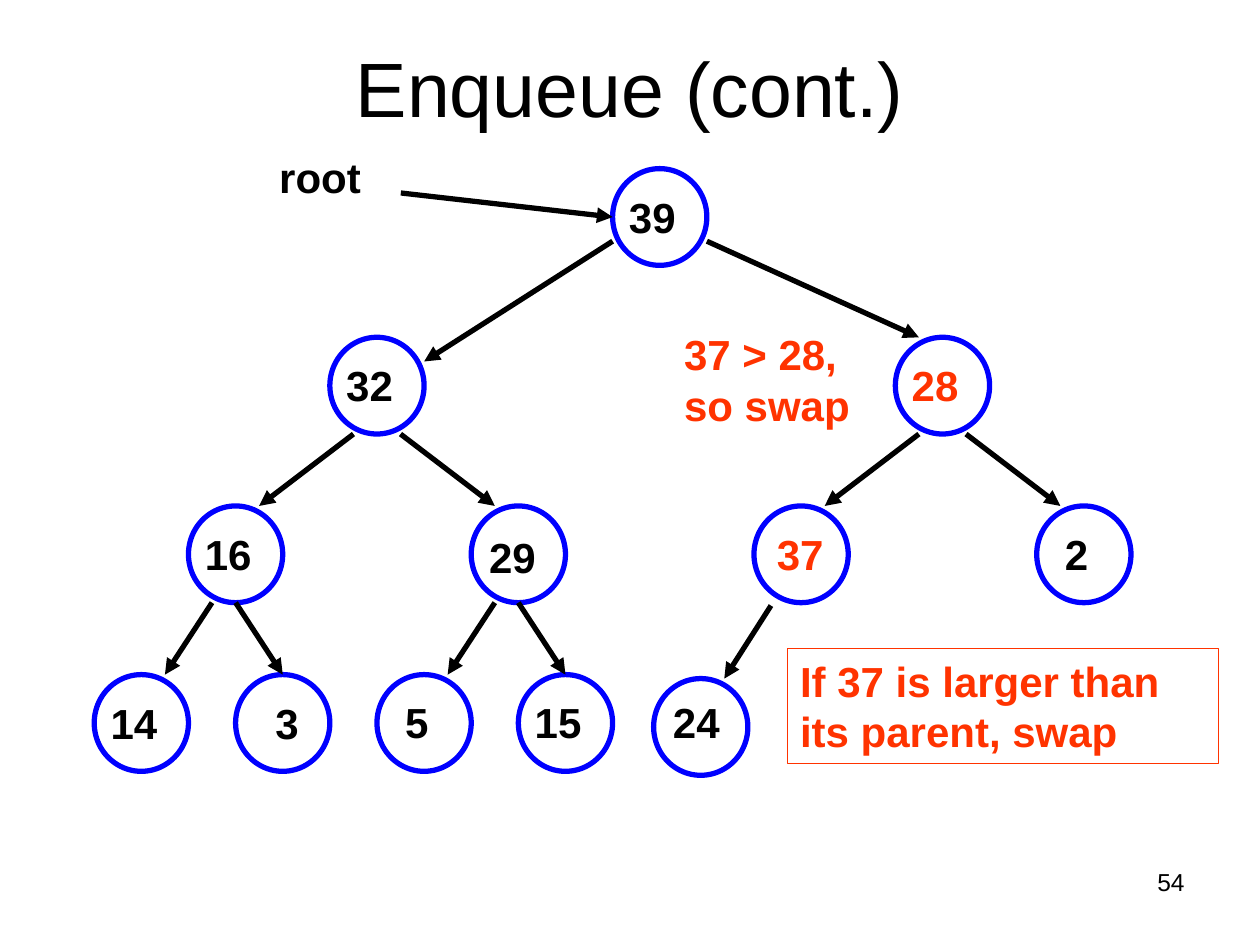
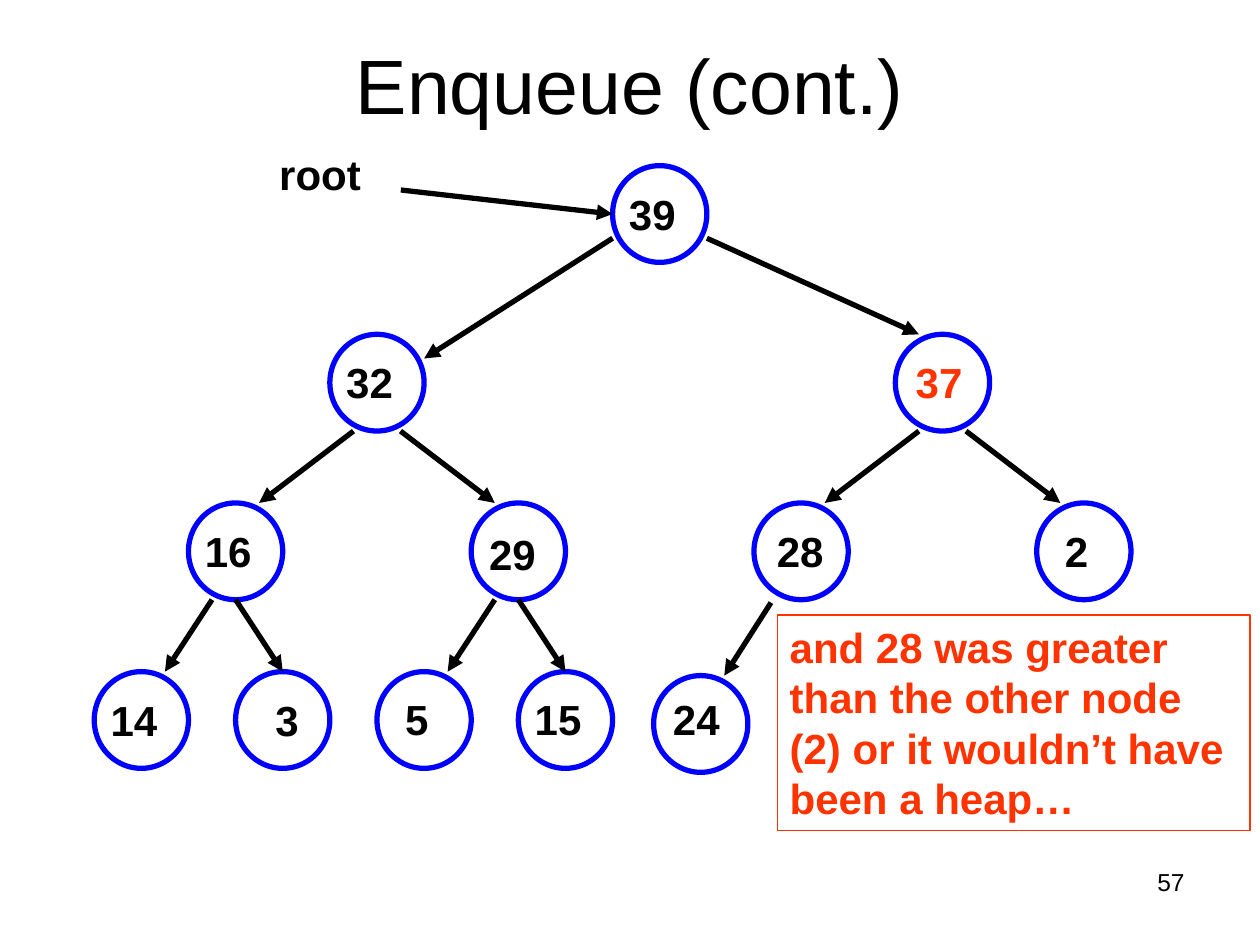
"""Draw two steps of swapping a new key upward in a heap."""
from dataclasses import dataclass

from lxml import etree
from pptx import Presentation
from pptx import util as u
from pptx.dml.color import RGBColor
from pptx.enum import shapes, text
from pptx.oxml import ns

FONT = "Arial"
HUE = {"ink": "000000", "ring": "0000FF", "hot": "FF3300", "disc": "FFFFFF"}
LEFT, COL, ROW = 1.9, 0.95, 3.4
WIDE, TALL = 2 * COL, 1.95


@dataclass(frozen=True)
class Node:
    key: str
    col: float
    row: int
    pad: float = 0.33
    drop: float = 0.33
    sink: float = 0
    hue: str = "ink"

    def spot(self, across: float, down: float) -> tuple[float, float]:
        return (LEFT + COL * self.col + across * WIDE,
                ROW * (self.row + 1) + self.sink + down * TALL)


@dataclass(frozen=True)
class Link:
    start: str
    end: str
    out: tuple[float, float]
    into: tuple[float, float]


@dataclass(frozen=True)
class Note:
    words: str
    x: float
    y: float
    w: float
    h: float
    framed: bool = True


@dataclass(frozen=True)
class Step:
    page: str
    lift: float
    swap: dict[str, Node]
    notes: tuple[Note, ...]


TREE = {
    "top": Node("39", 11, 0),
    "west": Node("32", 5, 1),
    "16": Node("16", 2, 2),
    "29": Node("29", 8, 2, pad=0.36, drop=0.38),
    "2": Node("2", 20, 2, pad=0.57),
    "14": Node("14", 0, 3),
    "3": Node("3", 3, 3, pad=0.8),
    "5": Node("5", 6, 3, pad=0.57, drop=0.31),
    "15": Node("15", 9, 3, drop=0.31),
    "24": Node("24", 11.87, 3, pad=0.39, drop=0.23, sink=0.08),
}

DOWN_LEFT = (0.25, 1), (0.75, 0)
DOWN_RIGHT = (0.75, 1), (0.25, 0)
LEAF_RIGHT = (0.5, 1), (0.5, 0)
LINKS = (
    Link("top", "west", (0, 0.75), (1, 0.25)),
    Link("top", "east", (1, 0.75), (0.25, 0)),
    Link("west", "16", *DOWN_LEFT),
    Link("west", "29", *DOWN_RIGHT),
    Link("east", "mid", *DOWN_LEFT),
    Link("east", "2", *DOWN_RIGHT),
    Link("16", "14", *DOWN_LEFT),
    Link("16", "3", *LEAF_RIGHT),
    Link("29", "5", *DOWN_LEFT),
    Link("29", "15", *LEAF_RIGHT),
    Link("mid", "24", (0.18, 1.03), (0.75, 0)),
)

STEPS = (
    Step("54", 0,
         {"east": Node("28", 17, 1, hue="hot"),
          "mid": Node("37", 14, 2, pad=0.46, hue="hot")},
         (Note("If 37 is larger than its parent, swap", 15.88, 13.08, 8.69, 2.31),
          Note("37 > 28, so swap", 13.54, 6.5, 4.24, 2.29, framed=False))),
    Step("57", 0.06,
         {"east": Node("37", 17, 1, pad=0.41, hue="hot"),
          "mid": Node("28", 14, 2, pad=0.46)},
         (Note("and 28 was greater than the other node (2) "
               "or it wouldn’t have been a heap…", 15.67, 12.4, 9.53, 4.34),)),
)


def shade(hue: str) -> RGBColor:
    return RGBColor.from_string(HUE[hue])


def style(para, size: float, hue: str = "ink", bold: bool = False) -> None:
    para.font.name, para.font.size, para.font.bold = FONT, u.Pt(size), bold
    para.font.color.rgb = shade(hue)


def write(slide, words: str, x: float, y: float, w: float, h: float,
          hue: str = "ink", size: float = 24, bold: bool = True):
    box = slide.shapes.add_textbox(u.Cm(x), u.Cm(y), u.Cm(w), u.Cm(h))
    box.text_frame.word_wrap = True
    para = box.text_frame.paragraphs[0]
    para.text = words
    style(para, size, hue, bold)
    return box


def draw_ring(slide, node: Node, lift: float) -> None:
    x, y = node.spot(0, 0)
    ring = slide.shapes.add_shape(shapes.MSO_SHAPE.OVAL, u.Cm(x), u.Cm(y - lift),
                                  u.Cm(WIDE), u.Cm(TALL))
    ring.shadow.inherit = False
    ring.fill.solid()
    ring.fill.fore_color.rgb = shade("disc")
    ring.line.color.rgb = shade("ring")
    ring.line.width = u.Pt(3)


def draw_key(slide, node: Node, lift: float) -> None:
    x, y = node.spot(0, 0)
    box = write(slide, node.key, x + node.pad, y + node.drop - lift, WIDE, TALL, node.hue)
    box.text_frame.margin_left = 0


def draw_link(slide, start: tuple[float, float], end: tuple[float, float],
              lift: float) -> None:
    (ax, ay), (bx, by) = start, end
    line = slide.shapes.add_connector(shapes.MSO_CONNECTOR.STRAIGHT, u.Cm(ax),
                                      u.Cm(ay - lift), u.Cm(bx), u.Cm(by - lift))
    line.line.color.rgb = shade("ink")
    line.line.width = u.Pt(3)
    props = line._element.spPr
    etree.SubElement(props.find(ns.qn("a:ln")), ns.qn("a:tailEnd"), type="triangle")
    etree.SubElement(props, ns.qn("a:effectLst"))


def draw_note(slide, note: Note) -> None:
    box = write(slide, note.words, note.x, note.y, note.w, note.h, "hot")
    if note.framed:
        box.line.color.rgb = shade("hot")
        box.line.width = u.Pt(0.75)


def set_title(slide, lift: float) -> None:
    title = slide.shapes.title
    title.left, title.top = u.Cm(1.27), u.Cm(0.15 - lift)
    title.width, title.height = u.Cm(22.86), u.Cm(3.18)
    frame = title.text_frame
    frame.text = "Enqueue (cont.)"
    frame.auto_size = text.MSO_AUTO_SIZE.NONE
    frame.vertical_anchor = text.MSO_ANCHOR.MIDDLE
    frame.paragraphs[0].alignment = text.PP_ALIGN.CENTER
    style(frame.paragraphs[0], 44)


def draw_step(deck, step: Step) -> None:
    slide = deck.slides.add_slide(deck.slide_layouts[5])
    set_title(slide, step.lift)
    nodes = TREE | step.swap
    for node in nodes.values():
        draw_ring(slide, node, step.lift)
    for link in LINKS:
        draw_link(slide, nodes[link.start].spot(*link.out),
                  nodes[link.end].spot(*link.into), step.lift)
    for node in nodes.values():
        draw_key(slide, node, step.lift)
    write(slide, "root", 5.38, 2.92 - step.lift, 3.18, 1.45)
    draw_link(slide, (8.08, 3.89), nodes["top"].spot(0, 0.5), step.lift)
    for note in step.notes:
        draw_note(slide, note)
    page = write(slide, step.page, 18.2, 17.35, 5.93, 1.32, size=14, bold=False)
    page.text_frame.paragraphs[0].alignment = text.PP_ALIGN.RIGHT


def main() -> None:
    deck = Presentation()
    deck.slide_width, deck.slide_height = u.Cm(25.4), u.Cm(19.05)
    for step in STEPS:
        draw_step(deck, step)
    deck.save("out.pptx")


if __name__ == "__main__":
    main()
